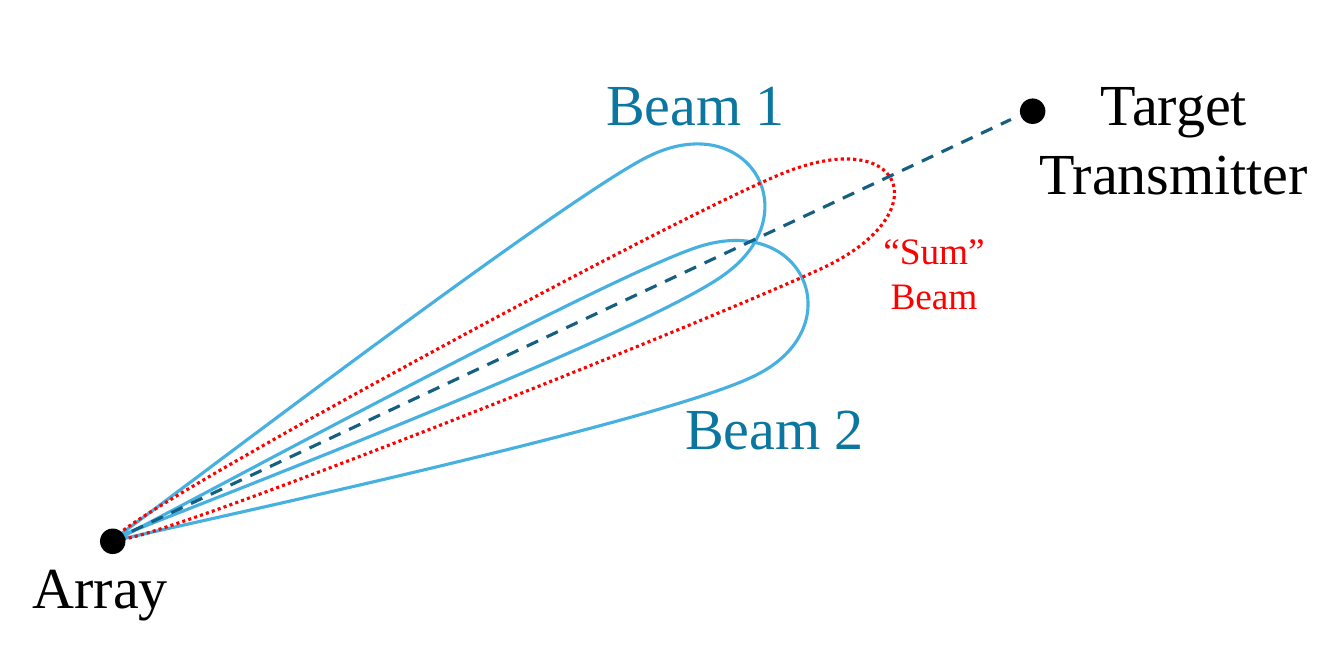
"""Draw two array beams and their sum beam pointing at a target transmitter."""
from lxml import etree
from pptx import Presentation
from pptx.dml.color import RGBColor
from pptx.enum import dml, shapes, text
from pptx.oxml import ns
from pptx.util import Inches, Pt

FONT = "Times New Roman"
BLACK, RED = "000000", "FF0000"
BEAM_BLUE, LABEL_BLUE, AXIS_BLUE = "46B1E1", "0B76A0", "156082"

BEAM_SIZE = (4.36, 2.65)
BEAM_START = (0, 2.65)
BEAM_CURVES = [
    [(0, 2.67), (2.84, 0.49), (3.54, 0.11)],
    [(4.23, -0.27), (4.68, 0.46), (4.09, 0.88)],
    [(3.5, 1.31), (0.01, 2.63), (0, 2.65)],
]
SUM_SIZE = (5.23, 2.55)
SUM_START = (0, 2.54)
SUM_CURVES = [
    [(-0.05, 2.44), (3.61, 0.45), (4.45, 0.1)],
    [(5.28, -0.25), (5.53, 0.35), (4.75, 0.72)],
    [(3.98, 1.08), (0.05, 2.65), (0, 2.54)],
]


def rgb(colour):
    """Turn a hex string into a colour."""
    return RGBColor.from_string(colour)


def style_line(line, colour, dash=None):
    """Set the colour, width and dash of a line."""
    line.color.rgb = rgb(colour)
    line.width = Pt(1.5)
    if dash:
        line.dash_style = dash


def add_step(outline, tag, points):
    """Append one drawing step with its points to a custom outline."""
    step = etree.SubElement(outline, ns.qn(f"a:{tag}"))
    for x, y in points:
        etree.SubElement(step, ns.qn("a:pt"), x=str(Inches(x)), y=str(Inches(y)))


def add_lobe(slide, corner, size, start, curves, colour, dash=None, rotation=0):
    """Add a closed, unfilled lobe made of Bezier curves inside its box."""
    left, top = (Inches(v) for v in corner)
    width, height = (Inches(v) for v in size)
    builder = slide.shapes.build_freeform(0, 0)
    builder.add_line_segments([(width, 0), (width, height), (0, height)])
    lobe = builder.convert_to_shape(left, top)
    outline = lobe._element.xpath(".//a:path")[0]
    for step in list(outline):
        outline.remove(step)
    add_step(outline, "moveTo", [start])
    for curve in curves:
        add_step(outline, "cubicBezTo", curve)
    add_step(outline, "close", [])
    lobe.rotation = rotation
    lobe.shadow.inherit = False
    lobe.fill.background()
    style_line(lobe.line, colour, dash)


def add_axis(slide, begin, end):
    """Add the dashed line of sight."""
    points = [Inches(v) for v in (*begin, *end)]
    axis = slide.shapes.add_connector(shapes.MSO_CONNECTOR.STRAIGHT, *points)
    style_line(axis.line, AXIS_BLUE, dml.MSO_LINE.DASH)
    etree.SubElement(axis._element.spPr, ns.qn("a:effectLst"))


def add_dot(slide, left, top):
    """Add a black dot for a station."""
    size = Inches(0.15)
    dot = slide.shapes.add_shape(
        shapes.MSO_SHAPE.OVAL, Inches(left), Inches(top), size, size)
    dot.shadow.inherit = False
    dot.fill.solid()
    dot.fill.fore_color.rgb = rgb(BLACK)
    style_line(dot.line, BLACK)


def add_label(slide, box, lines, colour, size=28, align=None, wrap=False):
    """Add a text label with one paragraph per line."""
    label = slide.shapes.add_textbox(*(Inches(v) for v in box))
    frame = label.text_frame
    frame.word_wrap = wrap
    frame.auto_size = text.MSO_AUTO_SIZE.SHAPE_TO_FIT_TEXT
    for index, words in enumerate(lines):
        paragraph = frame.add_paragraph() if index else frame.paragraphs[0]
        paragraph.alignment = align
        run = paragraph.add_run()
        run.text = words
        run.font.name = FONT
        run.font.size = Pt(size)
        run.font.color.rgb = rgb(colour)


def main():
    """Build the slide and save it."""
    deck = Presentation()
    deck.slide_width, deck.slide_height = Inches(9), Inches(4.5)
    slide = deck.slides.add_slide(deck.slide_layouts[6])
    centre = text.PP_ALIGN.CENTER

    for corner, rotation in [((0.76, 0.96), 0), ((0.93, 1.33), 8.9)]:
        add_lobe(slide, corner, BEAM_SIZE, BEAM_START, BEAM_CURVES,
                 BEAM_BLUE, rotation=rotation)
    add_axis(slide, (0.75, 3.62), (6.77, 0.8))
    add_dot(slide, 6.84, 0.67)
    add_label(slide, (6.77, 0.4, 2.18, 1.04), ["Target", "Transmitter"],
              BLACK, align=centre, wrap=True)
    add_label(slide, (0.12, 3.64, 1.12, 0.57), ["Array"], BLACK)
    add_label(slide, (3.96, 0.4, 1.41, 0.57), ["Beam 1"], LABEL_BLUE)
    add_label(slide, (4.49, 2.57, 1.41, 0.57), ["Beam 2"], LABEL_BLUE)
    add_lobe(slide, (0.77, 1.07), SUM_SIZE, SUM_START, SUM_CURVES,
             RED, dml.MSO_LINE.ROUND_DOT)
    add_dot(slide, 0.68, 3.55)
    add_label(slide, (5.81, 1.47, 0.89, 0.71), ["“Sum”", "Beam"],
              RED, size=18, align=centre)
    deck.save("out.pptx")


main()
